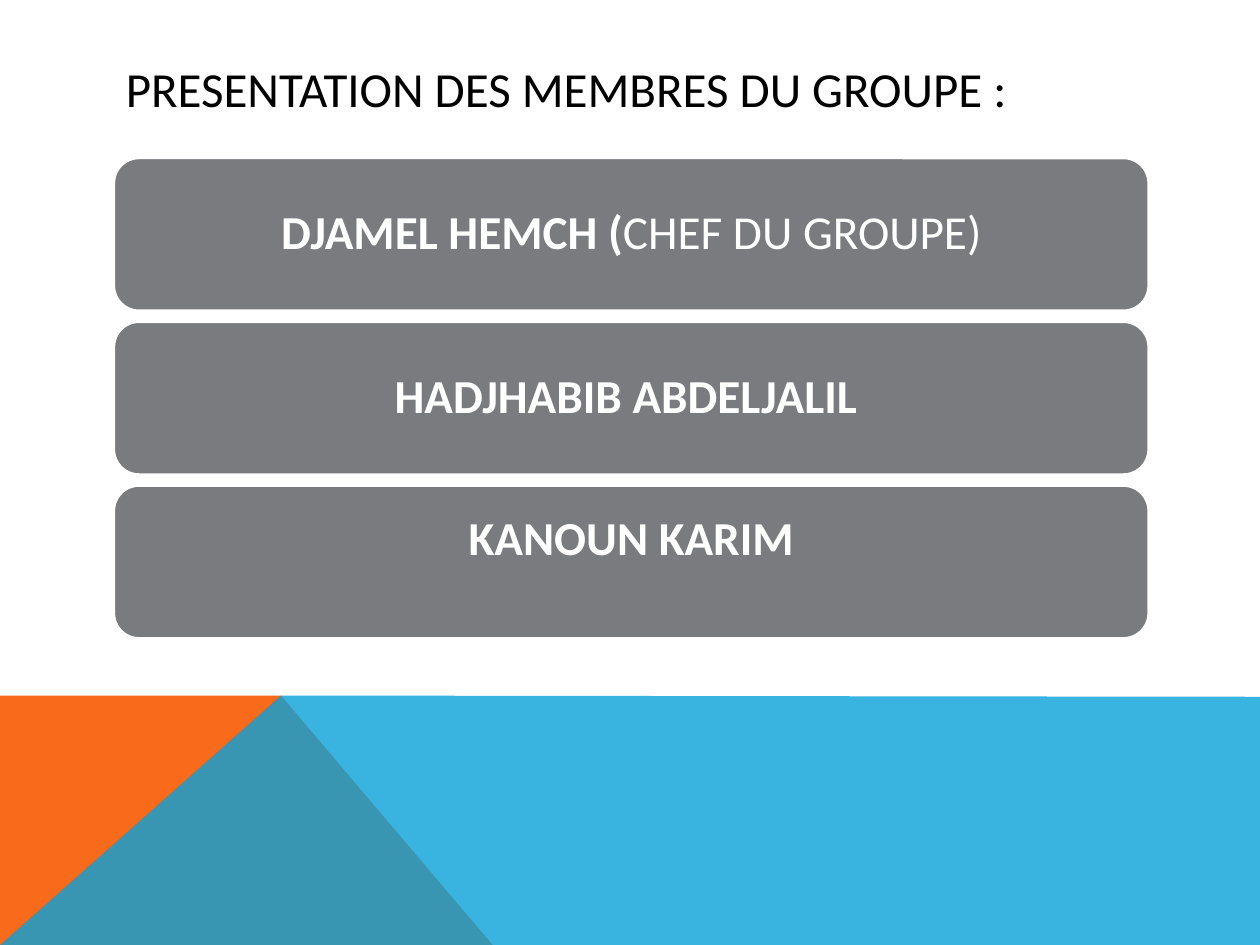
from dataclasses import dataclass

from lxml import etree
from pptx import Presentation
from pptx.dml.color import RGBColor
from pptx.enum.shapes import MSO_SHAPE
from pptx.enum.text import MSO_ANCHOR, PP_ALIGN
from pptx.oxml.ns import qn
from pptx.util import Inches, Pt

ROUNDED = MSO_SHAPE.ROUNDED_RECTANGLE
MIDDLE = MSO_ANCHOR.MIDDLE
LEFT, CENTER = PP_ALIGN.LEFT, PP_ALIGN.CENTER
CONTENT_LEFT, CONTENT_WIDTH = 0.9, 8.22
CARD_TOP, CARD_HEIGHT, CARD_STEP = 1.25, 1.22, 1.3
CARD_INSET = 0.17


@dataclass(frozen=True)
class Member:
    name: str
    role: str = ""
    bottom_inset: float = CARD_INSET


@dataclass(frozen=True)
class Band:
    points: tuple[tuple[float, float], ...]
    color: str
    opacity: int = 100


MEMBERS = (
    Member("DJAMEL HEMCH (", "CHEF DU GROUPE)"),
    Member("HADJHABIB ABDELJALIL "),
    Member("KANOUN KARIM", bottom_inset=0.51),
)
BANDS = (
    Band(((0, 7.5), (0, 5.52), (2.23, 5.52), (3.91, 7.5)), "F96A1B"),
    Band(((0, 7.5), (2.23, 5.52), (10, 5.53), (10, 7.5)), "08A1D9", 80),
)


def set_fill(shape, color: str, opacity: int = 100) -> None:
    shape.shadow.inherit = False
    shape.fill.solid()
    shape.fill.fore_color.rgb = RGBColor.from_string(color)
    if opacity < 100:
        color_element = shape.fill._xPr.find(".//" + qn("a:srgbClr"))
        alpha = etree.SubElement(color_element, qn("a:alpha"))
        alpha.set("val", str(opacity * 1000))


def add_text(paragraph, text: str, *, size: float, color: str, bold: bool = False) -> None:
    run = paragraph.add_run()
    run.text = text
    run.font.name = "Calibri"
    run.font.size = Pt(size)
    run.font.bold = bold
    run.font.color.rgb = RGBColor.from_string(color)


def prepare_frame(shape, alignment, line_spacing: float = 1.0):
    frame = shape.text_frame
    frame.word_wrap = True
    frame.vertical_anchor = MIDDLE
    paragraph = frame.paragraphs[0]
    paragraph.alignment = alignment
    paragraph.line_spacing = line_spacing
    return paragraph


def draw_band(slide, band: Band) -> None:
    start, *others = [(Inches(x), Inches(y)) for x, y in band.points]
    builder = slide.shapes.build_freeform(*start)
    builder.add_line_segments(others, close=True)
    shape = builder.convert_to_shape()
    set_fill(shape, band.color, band.opacity)
    shape.line.fill.background()


def draw_title(slide, title: str) -> None:
    shape = slide.shapes.add_textbox(
        Inches(CONTENT_LEFT), Inches(0.4), Inches(CONTENT_WIDTH), Inches(0.6)
    )
    paragraph = prepare_frame(shape, LEFT)
    add_text(paragraph, title, size=28, color="000000")


def draw_member(slide, member: Member, top: float) -> None:
    shape = slide.shapes.add_shape(
        ROUNDED, Inches(CONTENT_LEFT), Inches(top), Inches(CONTENT_WIDTH), Inches(CARD_HEIGHT)
    )
    set_fill(shape, "797B7E")
    shape.line.color.rgb = RGBColor.from_string("FFFFFF")
    shape.line.width = Pt(2)
    paragraph = prepare_frame(shape, CENTER, 0.9)
    frame = shape.text_frame
    frame.margin_left = frame.margin_right = frame.margin_top = Inches(CARD_INSET)
    frame.margin_bottom = Inches(member.bottom_inset)
    add_text(paragraph, member.name, size=27, color="FFFFFF", bold=True)
    if member.role:
        add_text(paragraph, member.role, size=27, color="FFFFFF")


def main() -> None:
    presentation = Presentation()
    presentation.slide_width = Inches(10)
    presentation.slide_height = Inches(7.5)
    slide = presentation.slides.add_slide(presentation.slide_layouts[6])
    for band in BANDS:
        draw_band(slide, band)
    draw_title(slide, "PRESENTATION DES MEMBRES DU GROUPE :")
    for index, member in enumerate(MEMBERS):
        draw_member(slide, member, CARD_TOP + index * CARD_STEP)
    presentation.save("out.pptx")


main()
